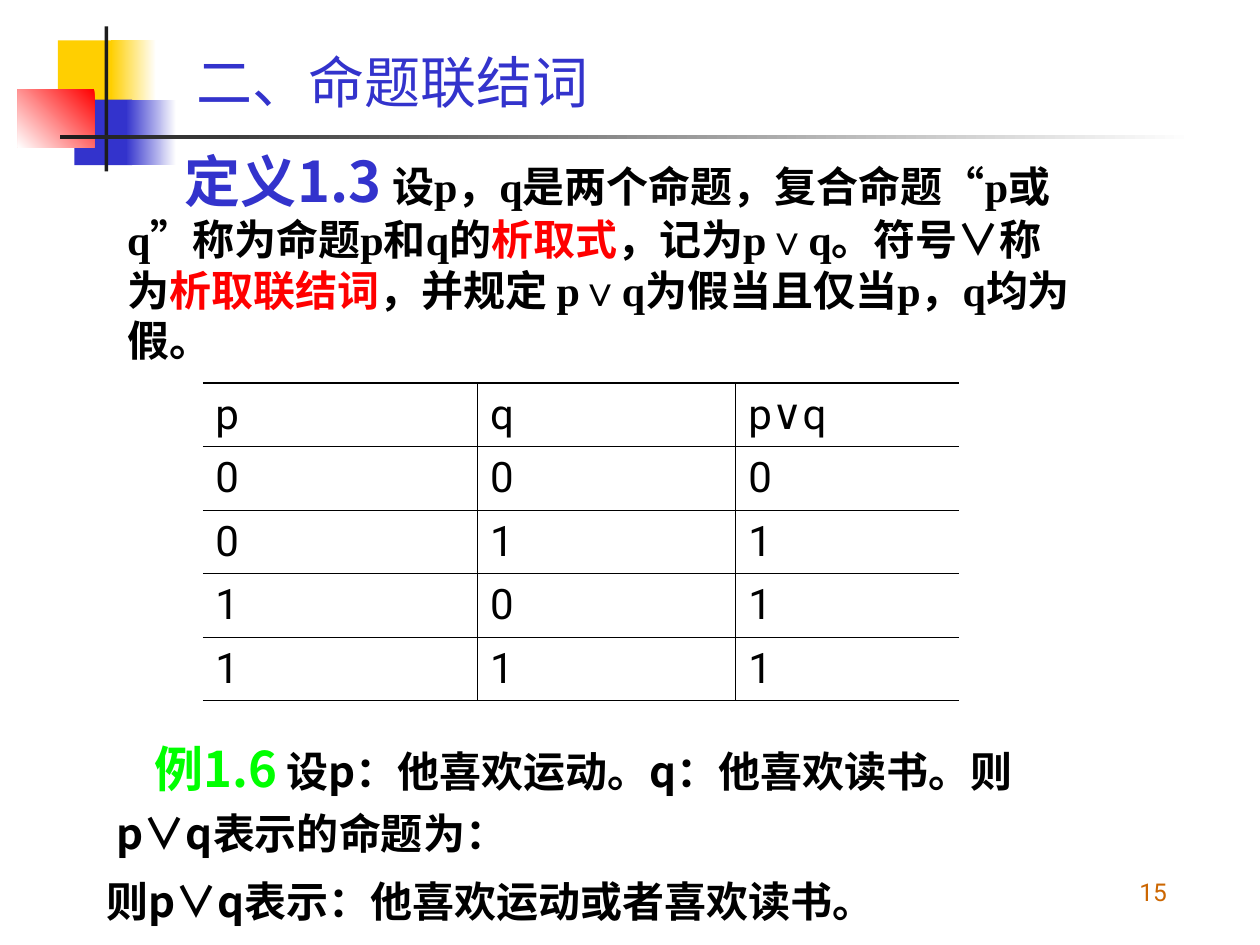
from lxml import etree
from pptx import Presentation
from pptx import util as u
from pptx.dml.color import RGBColor
from pptx.enum import shapes, text
from pptx.oxml.ns import qn

COLORS = {
    "white": "FFFFFF", "black": "000000", "ink": "1C1C1C", "yellow": "FFCF01",
    "blue": "3333CC", "red": "FF0000", "green": "00FF00", "orange": "CC6600",
}
SANS, CJK, SERIF = "Roboto", "Noto Sans CJK SC", "Times New Roman"
WIDTH, HEIGHT = 10, 7.5

# left, top, width, height, colours from start to end, angle clockwise
DECORATION = [
    (0.46, 0.32, 0.48, 0.52, ["yellow"], None),
    (0.88, 0.32, 0.36, 0.52, ["white", "yellow"], 180),
    (0.59, 0.79, 0.46, 0.52, ["blue"], None),
    (1.00, 0.79, 0.40, 0.52, ["white", "blue"], 180),
    (0.14, 0.71, 0.61, 0.46, ["red", "white"], 135),
    (0.83, 0.21, 0.03, 1.15, ["ink"], None),
    (0.48, 1.07, 9.00, 0.03, ["white", "ink"], 180),
]

# Runs: wording, size, font, colour, bold
TITLE = [("二、命题联结词", 32, SANS, "blue", False)]
DEFINITION = [
    ("定义1.3", 32, CJK, "blue", True),
    (" 设p，q是两个命题，复合命题“p或q”称为命题p和q的", 24, SERIF, "black", True),
    ("析取式", 24, SERIF, "red", True),
    ("，记为p∨q。符号∨称为", 24, SERIF, "black", True),
    ("析取联结词", 24, SERIF, "red", True),
    ("，并规定 p∨q为假当且仅当p，q均为假。", 24, SERIF, "black", True),
]
EXAMPLE = [
    ("例1.6", 28, CJK, "green", True),
    (" 设p：他喜欢运动。q：他喜欢读书。则p∨q表示的命题为：", 24, CJK, "black", True),
]
ANSWER = [("则p∨q表示：他喜欢运动或者喜欢读书。", 24, CJK, "black", True)]
PAGE = [("15", 14, SANS, "orange", False)]

TRUTH_TABLE = [
    ["p", "q", "p∨q"],
    ["0", "0", "0"],
    ["0", "1", "1"],
    ["1", "0", "1"],
    ["1", "1", "1"],
]
TABLE_LEFT, TABLE_TOP = 1.61, 3.04
COLUMN_WIDTHS = [2.18, 2.05, 1.77]
ROW_HEIGHT = 0.504
THIN, THICK = 0.45, 1.08


def rgb(name):
    return RGBColor.from_string(COLORS[name])


def inches(*lengths):
    return [u.Inches(length) for length in lengths]


def add_block(slide, left, top, width, height, colors, angle):
    block = slide.shapes.add_shape(
        shapes.MSO_SHAPE.RECTANGLE, *inches(left, top, width, height))
    block.shadow.inherit = False
    block.line.fill.background()
    if angle is None:
        block.fill.solid()
        block.fill.fore_color.rgb = rgb(colors[0])
        return
    block.fill.gradient()
    block.fill.gradient_angle = 360 - angle
    for stop, color, position in zip(block.fill.gradient_stops, colors, (0, 1)):
        stop.color.rgb = rgb(color)
        stop.position = position


def add_runs(paragraph, runs):
    for wording, size, face, color, bold in runs:
        run = paragraph.add_run()
        run.text = wording
        run.font.size = u.Pt(size)
        run.font.bold = bold
        run.font.name = face
        run.font.color.rgb = rgb(color)
        east_asian = etree.Element(qn("a:ea"), typeface=CJK)
        run.font._element.find(qn("a:latin")).addnext(east_asian)


def add_text(slide, box, runs, anchor="TOP", align="LEFT", indent=0, spacing=1, wrap=True):
    frame = slide.shapes.add_textbox(*inches(*box)).text_frame
    frame.word_wrap = wrap
    frame.vertical_anchor = text.MSO_ANCHOR[anchor]
    paragraph = frame.paragraphs[0]
    paragraph.alignment = text.PP_ALIGN[align]
    paragraph.line_spacing = spacing
    if indent:
        paragraph._p.get_or_add_pPr().set("indent", str(u.Inches(indent)))
    add_runs(paragraph, runs)


def set_border(cell, side, points):
    """Draw one side of a cell; zero points leaves it open."""
    line = etree.SubElement(cell._tc.get_or_add_tcPr(), qn(f"a:ln{side}"),
                            w=str(u.Pt(points)))
    if points:
        fill = etree.SubElement(line, qn("a:solidFill"))
        etree.SubElement(fill, qn("a:srgbClr"), val=COLORS["black"])
    else:
        etree.SubElement(line, qn("a:noFill"))


def add_truth_table(slide):
    last_row, last_column = len(TRUTH_TABLE) - 1, len(COLUMN_WIDTHS) - 1
    table = slide.shapes.add_table(
        last_row + 1, last_column + 1,
        *inches(TABLE_LEFT, TABLE_TOP, sum(COLUMN_WIDTHS),
                ROW_HEIGHT * len(TRUTH_TABLE))).table
    table.first_row = table.horz_banding = False
    for column, width in zip(table.columns, COLUMN_WIDTHS):
        column.width = u.Inches(width)
    for r, values in enumerate(TRUTH_TABLE):
        table.rows[r].height = u.Inches(ROW_HEIGHT)
        for c, value in enumerate(values):
            cell = table.cell(r, c)
            cell.vertical_anchor = text.MSO_ANCHOR.MIDDLE
            set_border(cell, "L", THIN if c else 0)
            set_border(cell, "R", THIN if c < last_column else 0)
            set_border(cell, "T", THIN if r else THICK)
            set_border(cell, "B", THIN if r < last_row else THICK)
            cell.fill.background()
            add_runs(cell.text_frame.paragraphs[0],
                     [(value, 24, SANS, "black", False)])


def main():
    deck = Presentation()
    deck.slide_width, deck.slide_height = inches(WIDTH, HEIGHT)
    slide = deck.slides.add_slide(deck.slide_layouts[6])
    for block in DECORATION:
        add_block(slide, *block)
    add_text(slide, (0.91, 1.11, 7.72, 1.84), DEFINITION, anchor="MIDDLE", indent=0.46)
    add_truth_table(slide)
    add_text(slide, (0.83, 5.72, 7.8, 1.14), EXAMPLE, indent=0.3, spacing=1.2)
    add_text(slide, (0.75, 6.9, 7.14, 0.5), ANSWER, wrap=False)
    add_text(slide, (1.46, 0.3, 8.04, 0.69), TITLE, anchor="MIDDLE")
    add_text(slide, (7.28, 6.74, 2.08, 0.5), PAGE, anchor="BOTTOM", align="RIGHT")
    deck.save("out.pptx")


if __name__ == "__main__":
    main()
